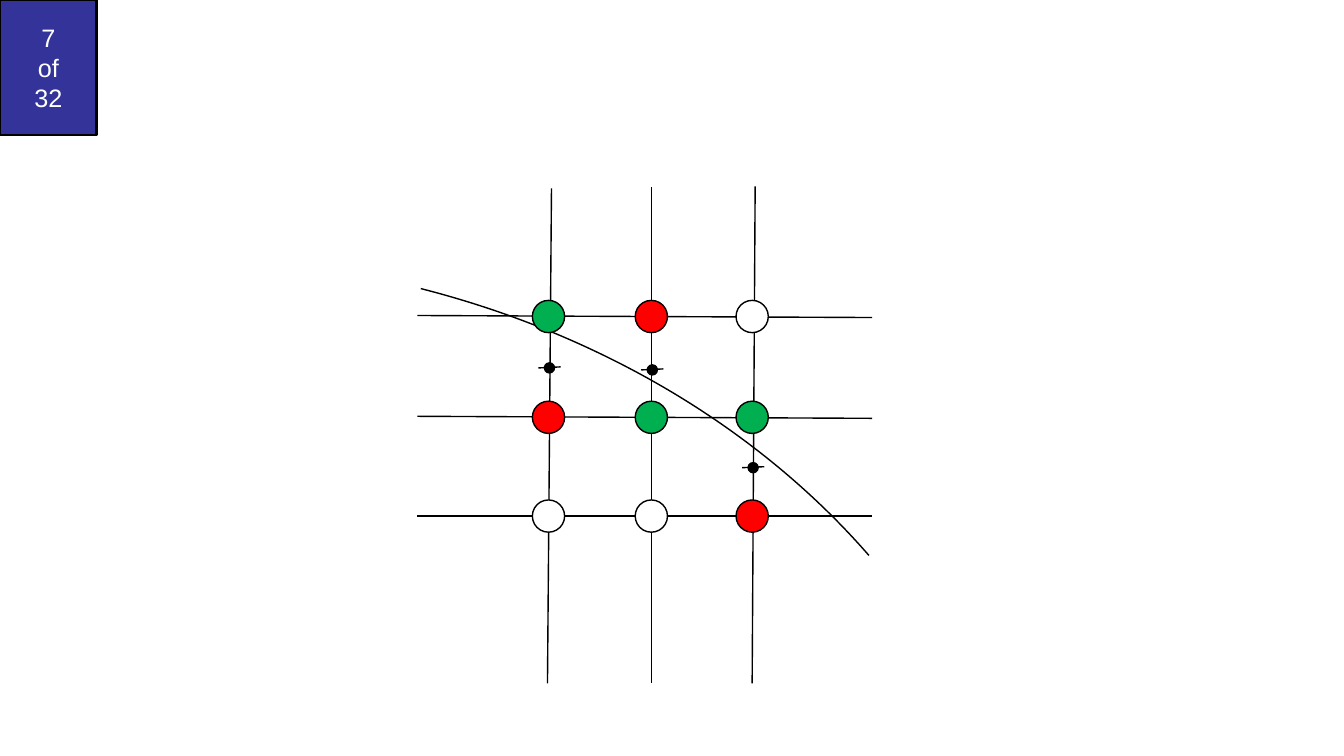
from lxml.etree import SubElement
from pptx import Presentation
from pptx.dml.color import RGBColor
from pptx.enum.shapes import MSO_CONNECTOR as Connector, MSO_SHAPE as Shape
from pptx.enum.text import MSO_ANCHOR as Anchor, PP_ALIGN as Align
from pptx.oxml.ns import qn
from pptx.util import Inches, Pt

BLACK, WHITE, RED, GREEN, BLUE = "000000", "FFFFFF", "FF0000", "00B050", "333399"


def paint(part, fill=None, font=None, line=BLACK, width=1):
    if font:
        part.color.rgb = RGBColor.from_string(font)
        return
    part.line.color.rgb = RGBColor.from_string(line)
    part.line.width = Pt(width)
    if fill:
        part.fill.solid()
        part.fill.fore_color.rgb = RGBColor.from_string(fill)


def write(shape, text, size=18, color=WHITE, name="Arial", align=Align.CENTER):
    shape.text_frame.vertical_anchor = Anchor.MIDDLE
    paragraph = shape.text_frame.paragraphs[0]
    paragraph.text = text
    paragraph.alignment = align
    for run in paragraph.runs:
        run.font.size = Pt(size)
        run.font.name = name
        paint(run.font, font=color)


presentation = Presentation()
presentation.slide_width = Inches(13.33)
presentation.slide_height = Inches(7.5)
slide = presentation.slides.add_slide(presentation.slide_layouts[6])

page_box = slide.shapes.add_shape(Shape.RECTANGLE, 0, 0, Inches(0.96), Inches(1.34))
page_box.shadow.inherit = False
paint(page_box, fill=BLUE, width=2)
write(page_box, "7\nof\n32")

diagram = slide.shapes.add_group_shape().shapes

curve = diagram.add_shape(
    Shape.ARC, Inches(-6.94), Inches(2.55), Inches(17.2), Inches(14.36)
)
curve.adjustments[0] = 174.067
curve.adjustments[1] = 197.264
curve.shadow.inherit = False
curve.fill.background()
paint(curve)

midpoints = [(5.45, 3.65), (6.47, 3.67), (7.47, 4.64)]
grid_lines = [
    (8.65, 4.15, 4.14, 4.13),
    (8.65, 5.12, 4.14, 5.12),
    (8.65, 3.15, 4.14, 3.13),
    (5.47, 1.87, 5.43, 6.78),
    (6.46, 1.86, 6.46, 6.78),
    (7.49, 1.85, 7.46, 6.78),
]
ticks = [(x - 0.11, y, x + 0.11, y - 0.01) for x, y in midpoints]
for ends in grid_lines + ticks:
    connector = diagram.add_connector(Connector.STRAIGHT, *map(Inches, ends))
    SubElement(connector._element.spPr, qn("a:effectLst"))
    paint(connector)

columns = [5.44, 6.46, 7.46]
rows = [
    (3.14, [GREEN, RED, WHITE]),
    (4.14, [RED, GREEN, GREEN]),
    (5.12, [WHITE, WHITE, RED]),
]
circles = [
    (x, y, 0.32, color) for y, colors in rows for x, color in zip(columns, colors)
]
circles += [(x, y, 0.1, BLACK) for x, y in midpoints]
for x, y, diameter, color in circles:
    circle = diagram.add_shape(
        Shape.OVAL,
        Inches(x - diameter / 2),
        Inches(y - diameter / 2),
        Inches(diameter),
        Inches(diameter),
    )
    circle.shadow.inherit = False
    paint(circle, fill=color)

presentation.save("out.pptx")
